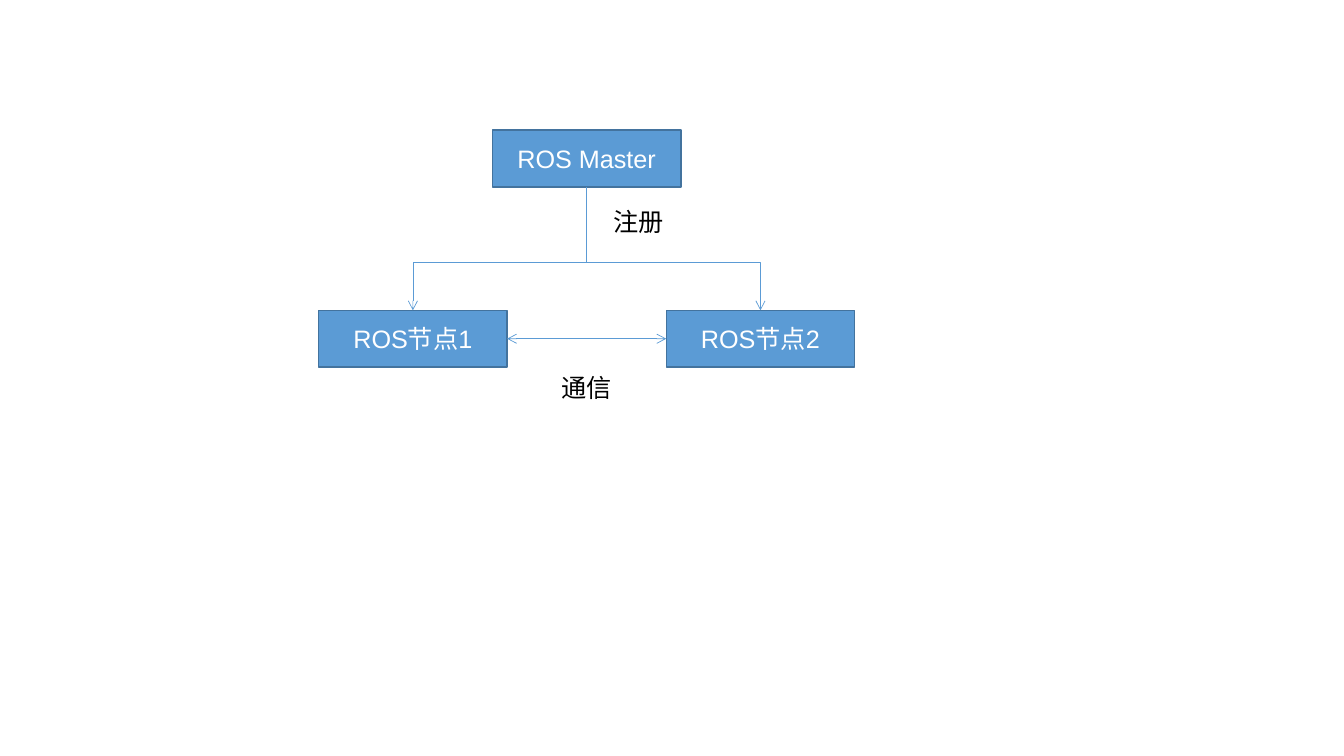
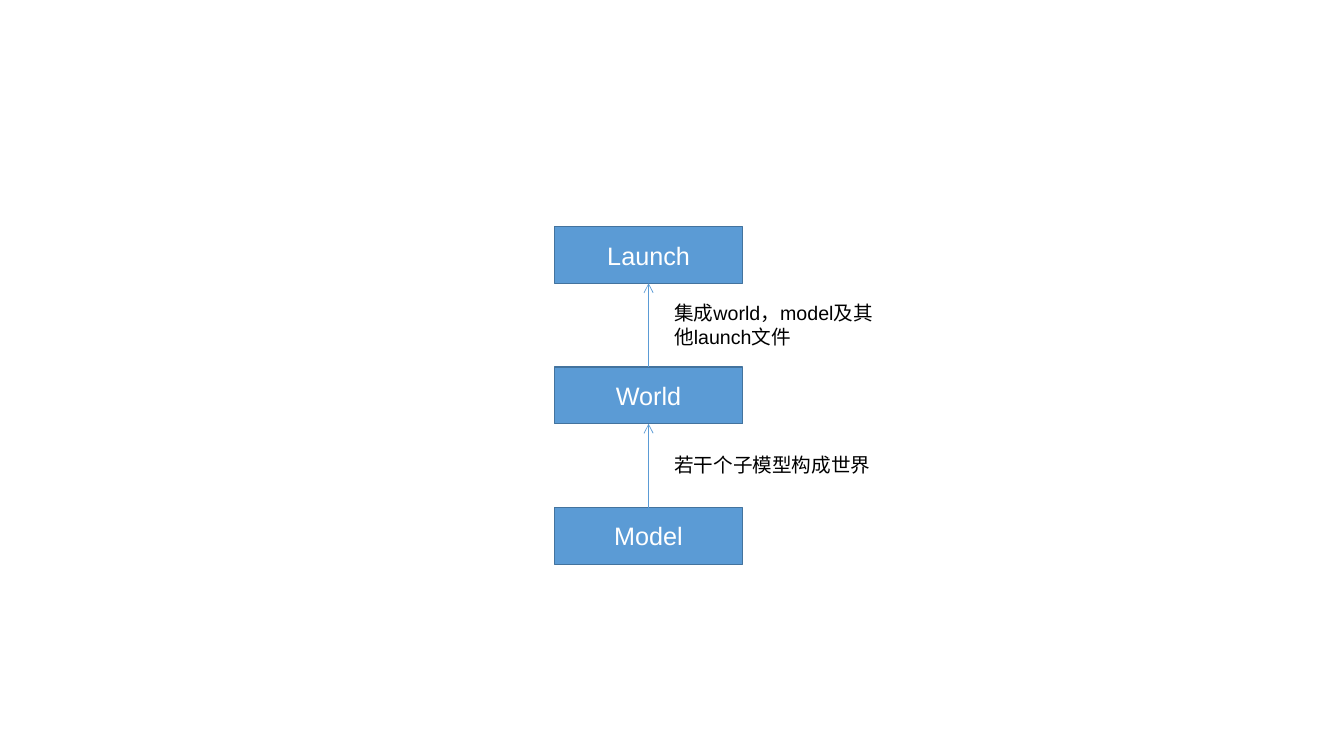
import pptx
import pptx.util
import pptx.dml.color
import pptx.enum.shapes
import pptx.enum.text
import pptx.oxml.ns
import lxml.etree

Cm = pptx.util.Cm
Pt = pptx.util.Pt
COLORS = {"fill": "5B9BD5", "edge": "43739E", "light": "FFFFFF", "dark": "000000"}
FONT = "Arial"
BOX_W, BOX_H = 4.75, 1.43
TOP, LEFT, BOTTOM, RIGHT = range(4)


def color(name):
    return pptx.dml.color.RGBColor.from_string(COLORS[name])


def add_tag(parent, tag, **attrs):
    return lxml.etree.SubElement(parent, pptx.oxml.ns.qn(tag), attrs)


def write(frame, text, size=18, ink="dark", align="LEFT", anchor="TOP"):
    frame.word_wrap = True
    frame.vertical_anchor = getattr(pptx.enum.text.MSO_ANCHOR, anchor)
    para = frame.paragraphs[0]
    para.alignment = getattr(pptx.enum.text.PP_ALIGN, align)
    run = para.add_run()
    run.text = text
    run.font.name = FONT
    run.font.size = Pt(size)
    run.font.color.rgb = color(ink)


def add_box(slide, text, left, top):
    kind = pptx.enum.shapes.MSO_SHAPE.RECTANGLE
    box = slide.shapes.add_shape(kind, Cm(left), Cm(top), Cm(BOX_W), Cm(BOX_H))
    box.shadow.inherit = False
    box.fill.solid()
    box.fill.fore_color.rgb = color("fill")
    box.line.color.rgb = color("edge")
    box.line.width = Pt(1)
    write(box.text_frame, text, ink="light", align="CENTER", anchor="MIDDLE")
    return box


def add_label(slide, text, left, top, width, height, size=18):
    label = slide.shapes.add_textbox(Cm(left), Cm(top), Cm(width), Cm(height))
    label.text_frame.auto_size = pptx.enum.text.MSO_AUTO_SIZE.SHAPE_TO_FIT_TEXT
    write(label.text_frame, text, size=size)


def bend_down(link, ratio):
    drop = link.end_y - link.begin_y
    shift = link.end_x - link.begin_x
    mid_x = (link.begin_x + link.end_x) // 2
    mid_y = (link.begin_y + link.end_y) // 2
    link.left, link.top = mid_x - drop // 2, mid_y - abs(shift) // 2
    link.width, link.height = drop, abs(shift)
    props = link._element.spPr
    props.xfrm.rot = 90
    props.xfrm.flipH = False
    props.xfrm.flipV = shift > 0
    geom = props.find(pptx.oxml.ns.qn("a:prstGeom"))
    guides = geom.find(pptx.oxml.ns.qn("a:avLst"))
    add_tag(guides, "a:gd", name="adj1", fmla=f"val {round(ratio * 100000)}")


def add_link(slide, start, out, end, into, both=False, bend=None):
    kinds = pptx.enum.shapes.MSO_CONNECTOR
    kind = kinds.ELBOW if bend else kinds.STRAIGHT
    link = slide.shapes.add_connector(kind, 0, 0, 0, 0)
    link.begin_connect(start, out)
    link.end_connect(end, into)
    if bend:
        bend_down(link, bend)
    link.line.color.rgb = color("fill")
    link.line.width = Pt(0.5)
    line = link.line._get_or_add_ln()
    if both:
        add_tag(line, "a:headEnd", type="arrow")
    add_tag(line, "a:tailEnd", type="arrow")
    add_tag(link._element.spPr, "a:effectLst")


def draw_nodes(slide):
    left, right, top = 8.03, 16.79, 7.82
    first = add_box(slide, "ROS节点1", left, top)
    second = add_box(slide, "ROS节点2", right, top)
    master = add_box(slide, "ROS Master", (left + right) / 2, 3.28)
    add_link(slide, first, RIGHT, second, LEFT, both=True)
    for node in (first, second):
        add_link(slide, master, BOTTOM, node, TOP, bend=0.61)
    add_label(slide, "通信", 13.89, 9.25, 1.78, 1.02)
    add_label(slide, "注册", 15.21, 5.08, 2.67, 1.02)


def draw_stack(slide):
    names = ("Launch", "World", "Model")
    boxes = [add_box(slide, name, 13.97, 5.71 + 3.54 * row)
             for row, name in enumerate(names)]
    for upper, lower in zip(boxes, boxes[1:]):
        add_link(slide, lower, TOP, upper, BOTTOM)
    add_label(slide, "集成world，model及其他launch文件", 16.74, 7.47, 5.82, 1.45, size=14)
    add_label(slide, "若干个子模型构成世界", 16.74, 11.3, 5.82, 0.86, size=14)


def main():
    deck = pptx.Presentation()
    deck.slide_width, deck.slide_height = Cm(33.87), Cm(19.05)
    blank = deck.slide_layouts.get_by_name("Blank")
    for draw in (draw_nodes, draw_stack):
        draw(deck.slides.add_slide(blank))
    deck.save("out.pptx")


if __name__ == "__main__":
    main()
